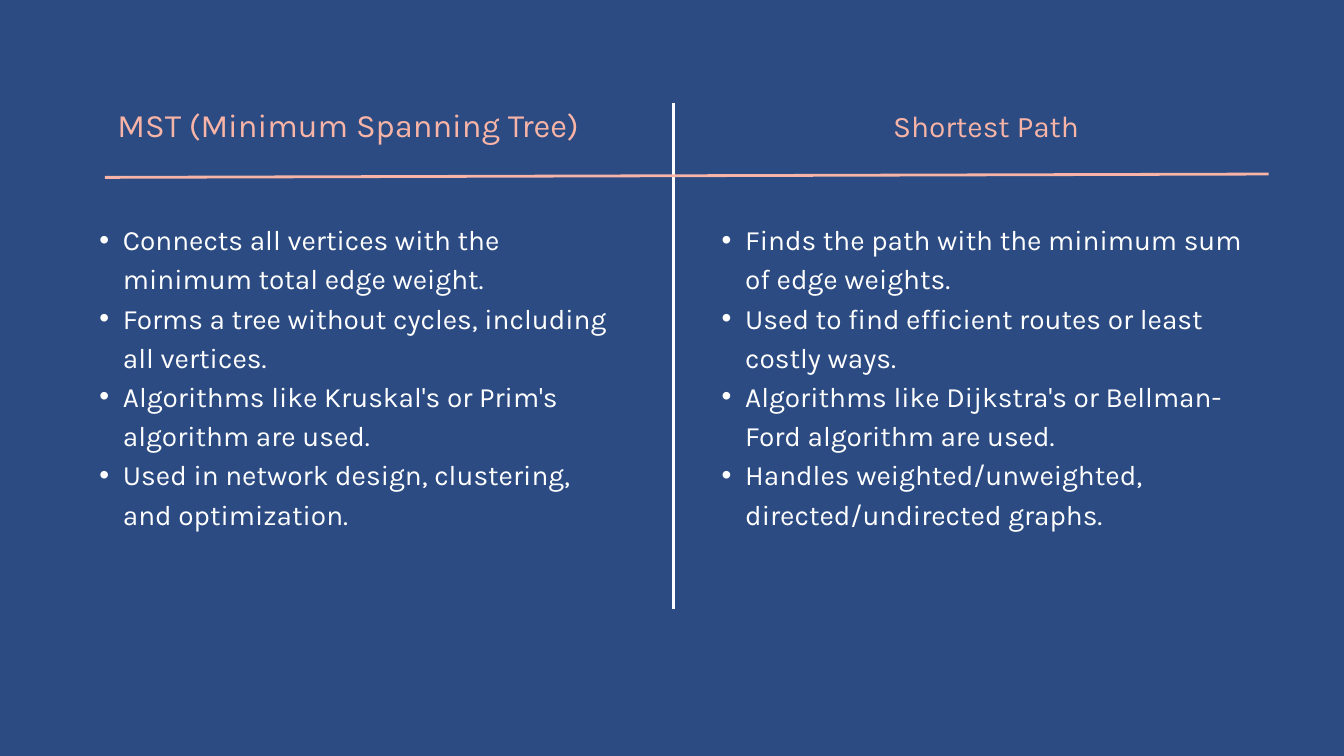
from pptx import Presentation
from pptx.dml.color import RGBColor
from pptx.enum.shapes import MSO_CONNECTOR
from pptx.enum.text import MSO_AUTO_SIZE, PP_ALIGN
from pptx.oxml.ns import qn
from pptx.util import Inches, Pt
from lxml.etree import SubElement

COLORS = {"background": "2B4B82", "heading": "F7B4A7", "body": "FFFFFF"}
FONT = "Karla"
LINE_RATIO = 1.4

# Each column: heading, its size and box, bullets and their box
COLUMNS = [
    ("MST (Minimum Spanning Tree)", 35, (1.56, 1.47, 7.25, 0.65), [
        "Connects all vertices with the minimum total edge weight.",
        "Forms a tree without cycles, including all vertices.",
        "Algorithms like Kruskal's or Prim's algorithm are used.",
        "Used in network design, clustering, and optimization.",
    ], (1.12, 3.23, 8.12, 5.23)),
    ("Shortest Path", 32, (13.18, 1.51, 2.99, 0.59), [
        "Finds the path with the minimum sum of edge weights.",
        "Used to find efficient routes or least costly ways.",
        "Algorithms like Dijkstra's or Bellman-Ford algorithm are used.",
        "Handles weighted/unweighted, directed/undirected graphs.",
    ], (10.38, 3.23, 8.5, 5.23)),
]


def add_text(page, box, lines, size, color):
    """Place a text box without margins and return its paragraphs."""
    frame = page.shapes.add_textbox(*map(Inches, box)).text_frame
    frame.margin_left = frame.margin_right = 0
    frame.margin_top = frame.margin_bottom = 0
    frame.word_wrap = True
    frame.auto_size = MSO_AUTO_SIZE.SHAPE_TO_FIT_TEXT
    frame.text = "\n".join(lines)
    for para in frame.paragraphs:
        para.line_spacing = Pt(size * LINE_RATIO)
        for span in para.runs:
            span.font.name = FONT
            span.font.size = Pt(size)
            span.font.color.rgb = RGBColor.from_string(COLORS[color])
    return frame.paragraphs


def add_heading(page, box, text, size):
    for para in add_text(page, box, [text], size, "heading"):
        para.alignment = PP_ALIGN.CENTER


def add_bullets(page, box, lines):
    for para in add_text(page, box, lines, 30, "body"):
        para.level = 1
        properties = para._p.get_or_add_pPr()
        properties.set("marL", str(Inches(0.71)))
        properties.set("indent", str(Inches(-0.35)))
        SubElement(properties, qn("a:buFont")).set("typeface", "Arial")
        SubElement(properties, qn("a:buChar")).set("char", "•")


def add_rule(page, start, end, color):
    rule = page.shapes.add_connector(
        MSO_CONNECTOR.STRAIGHT, *map(Inches, start + end))
    rule.line.color.rgb = RGBColor.from_string(COLORS[color])
    rule.line.width = Pt(3)
    SubElement(rule._element.spPr, qn("a:effectLst"))


def build_comparison(page):
    # Background
    fill = page.background.fill
    fill.solid()
    fill.fore_color.rgb = RGBColor.from_string(COLORS["background"])

    # Divider between the columns
    add_rule(page, (10.02, 1.54), (10.02, 9.07), "body")

    # Two columns of text
    for heading, size, heading_box, bullets, bullet_box in COLUMNS:
        add_heading(page, heading_box, heading, size)
        add_bullets(page, bullet_box, bullets)

    # Slightly tilted line under the headings
    add_rule(page, (1.56, 2.64), (18.88, 2.59), "heading")


def main():
    deck = Presentation()
    deck.slide_width, deck.slide_height = Inches(20), Inches(11.25)
    build_comparison(deck.slides.add_slide(deck.slide_layouts[6]))
    deck.save("out.pptx")


if __name__ == "__main__":
    main()
